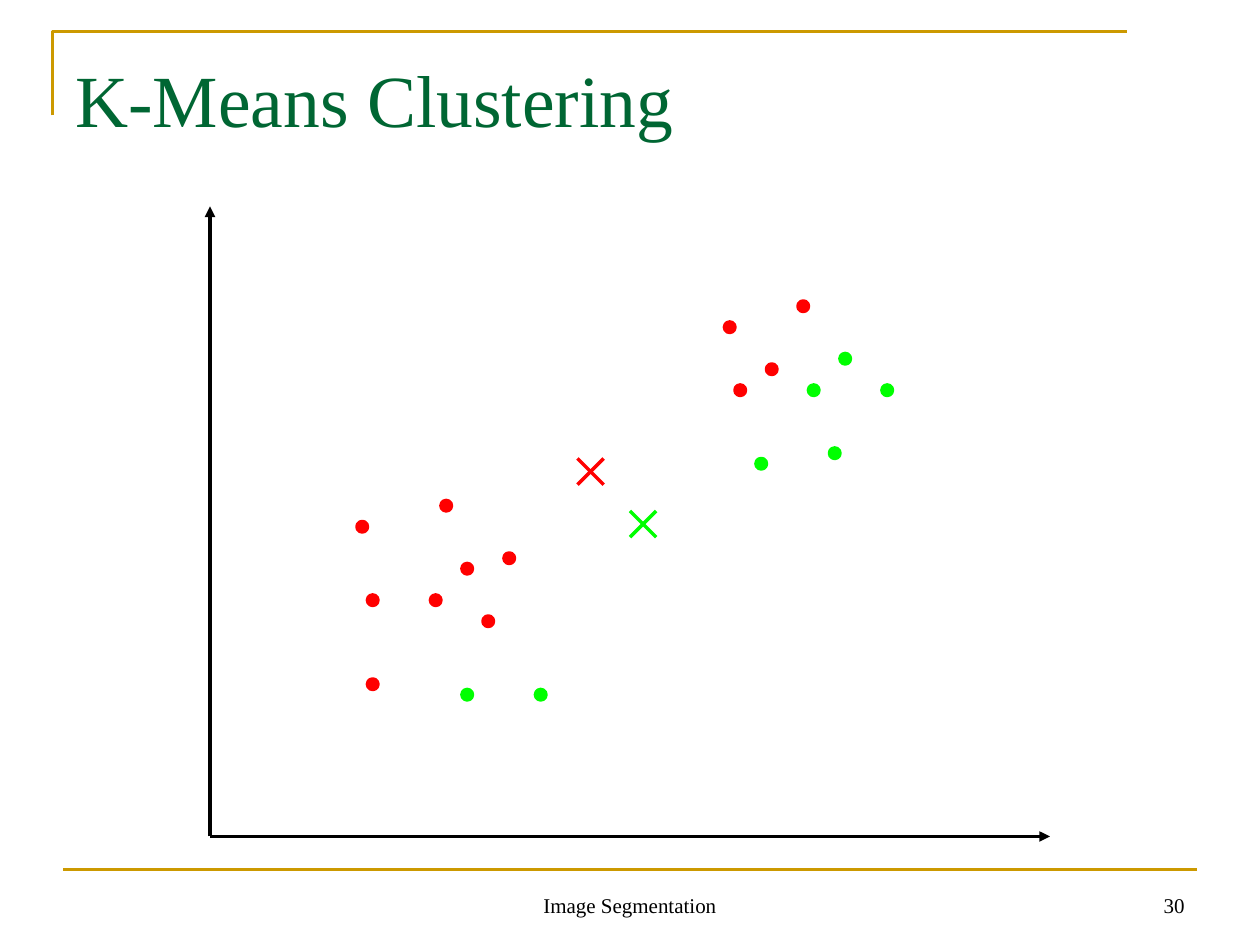
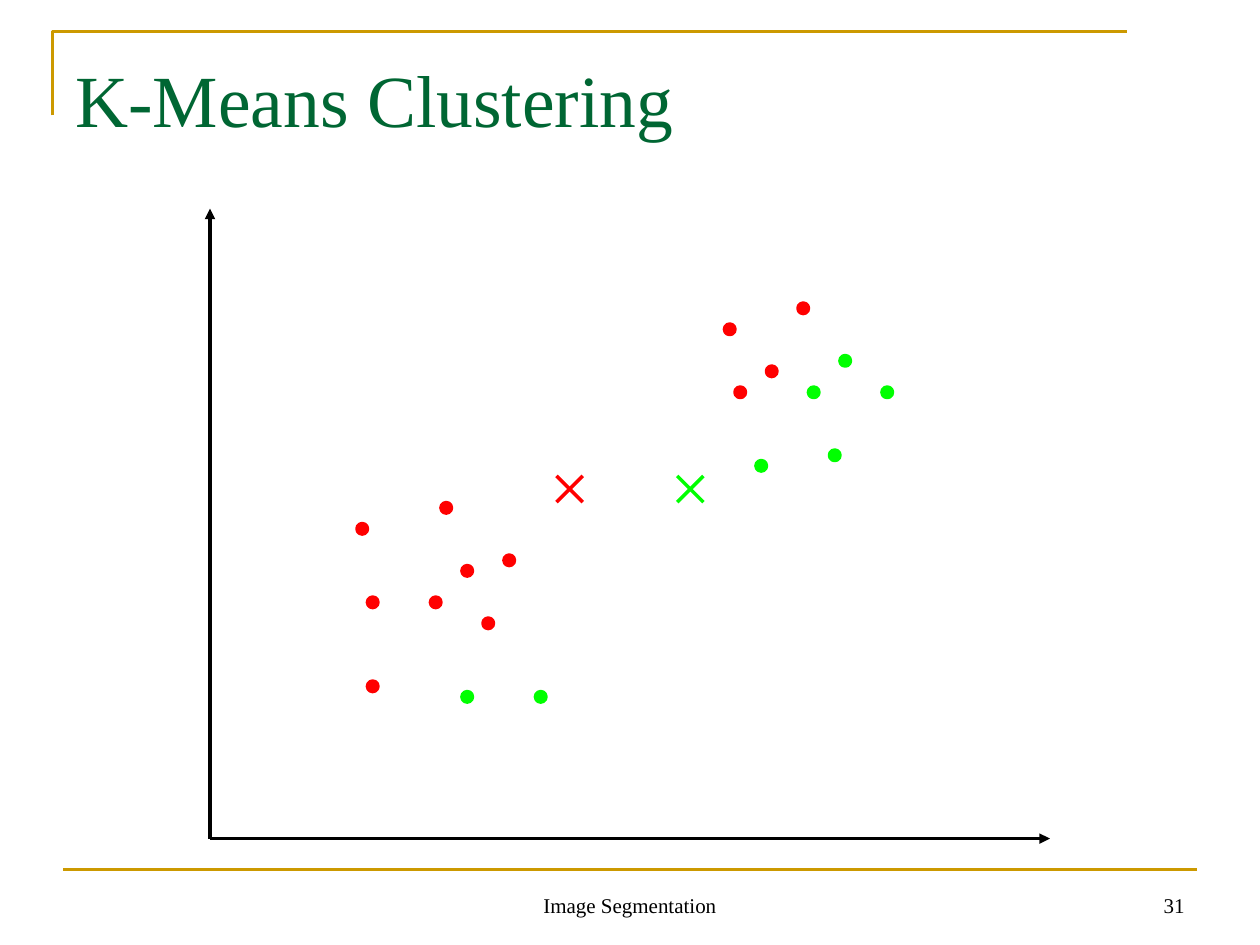
from lxml.etree import SubElement
from pptx import Presentation
from pptx.dml.color import RGBColor
from pptx.enum.shapes import MSO_CONNECTOR, MSO_SHAPE
from pptx.enum.text import MSO_ANCHOR, PP_ALIGN
from pptx.oxml.ns import qn
from pptx.util import Pt

FONT = "Times New Roman"
GOLD, TITLE_GREEN, BLACK = "CC9900", "006633", "000000"
RED, GREEN = "FF0000", "00FF00"

ORIGIN_X, AXIS_WIDTH, AXIS_HEIGHT = 120, 480, 360
GRID = 6  # one grid cell, which is also the diameter of a data point
CROSS = 15

# Grid cells right of and above the origin
POINTS = {
    RED: [(49, 49), (50, 43), (53, 45), (56, 51), (22, 32), (28, 27), (26, 21),
          (24, 26), (14, 30), (15, 23), (21, 23), (15, 15)],
    GREEN: [(60, 46), (57, 43), (52, 36), (59, 37), (64, 43), (24, 14), (31, 14)],
}

# Page number, height of the x axis, top left corner of each cluster centre
STEPS = [
    (30, 478, {RED: (330, 262), GREEN: (360, 292)}),
    (31, 479.2, {RED: (318, 272), GREEN: (387, 272)}),
]


def color(value):
    return RGBColor.from_string(value)


class SlideBuilder:
    def __init__(self, deck):
        self.deck = deck
        self.page = None

    def new_page(self, title, footer, number):
        """Start a page with the frame, title and footers that all pages share."""
        self.page = self.deck.slides.add_slide(self.deck.slide_layouts[6])
        self.corner()
        self.line(36, 497, 684, 497, GOLD, 1.5)
        self.text(footer, 246, 492, 228, 36, align=PP_ALIGN.CENTER)
        self.text(str(number), 516, 492, 168, 36, align=PP_ALIGN.RIGHT)
        self.text(title, 36, 21.6, 648, 90, size=42, fill=TITLE_GREEN,
                  anchor=MSO_ANCHOR.TOP, inset_top=9)

    def text(self, text, left, top, width, height, size=12, fill=BLACK,
             align=PP_ALIGN.LEFT, anchor=MSO_ANCHOR.BOTTOM, inset_top=3.6):
        box = self.page.shapes.add_textbox(Pt(left), Pt(top), Pt(width), Pt(height))
        frame = box.text_frame
        frame.word_wrap = True
        frame.vertical_anchor = anchor
        frame.margin_top = Pt(inset_top)
        para = frame.paragraphs[0]
        para.alignment = align
        span = para.add_run()
        span.text = text
        span.font.name = FONT
        span.font.size = Pt(size)
        span.font.color.rgb = color(fill)

    def line(self, x1, y1, x2, y2, stroke, width=2, arrow=False):
        connector = self.page.shapes.add_connector(
            MSO_CONNECTOR.STRAIGHT, Pt(x1), Pt(y1), Pt(x2), Pt(y2))
        connector.line.color.rgb = color(stroke)
        connector.line.width = Pt(width)
        if arrow:
            SubElement(connector.line._get_or_add_ln(), qn("a:tailEnd"), type="triangle")
        SubElement(connector._element.spPr, qn("a:effectLst"))

    def corner(self):
        """Draw the gold angle around the title."""
        builder = self.page.shapes.build_freeform(Pt(30), Pt(66))
        builder.add_line_segments([(Pt(30), Pt(18)), (Pt(644), Pt(18))], close=False)
        angle = builder.convert_to_shape()
        angle.shadow.inherit = False
        angle.fill.background()
        angle.line.color.rgb = color(GOLD)
        angle.line.width = Pt(1.5)

    def axes(self, base):
        self.line(ORIGIN_X, base, ORIGIN_X + AXIS_WIDTH, base, BLACK, arrow=True)
        self.line(ORIGIN_X, base, ORIGIN_X, base - AXIS_HEIGHT, BLACK, arrow=True)

    def point(self, left, top, fill):
        dot = self.page.shapes.add_shape(
            MSO_SHAPE.OVAL, Pt(left), Pt(top), Pt(GRID), Pt(GRID))
        dot.shadow.inherit = False
        dot.fill.solid()
        dot.fill.fore_color.rgb = color(fill)
        dot.line.color.rgb = color(fill)
        dot.line.width = Pt(2)

    def cross(self, left, top, stroke):
        right, bottom = left + CROSS, top + CROSS
        self.line(left, top, right, bottom, stroke)
        self.line(left, bottom, right, top, stroke)


def main():
    deck = Presentation()
    deck.slide_width, deck.slide_height = Pt(720), Pt(540)
    builder = SlideBuilder(deck)
    for number, base, centres in STEPS:
        builder.new_page("K-Means Clustering", "Image Segmentation", number)
        builder.axes(base)
        for fill, cells in POINTS.items():
            for column, row in cells:
                builder.point(ORIGIN_X + column * GRID, base - row * GRID, fill)
        for stroke, (left, top) in centres.items():
            builder.cross(left, top, stroke)
    deck.save("out.pptx")


if __name__ == "__main__":
    main()
